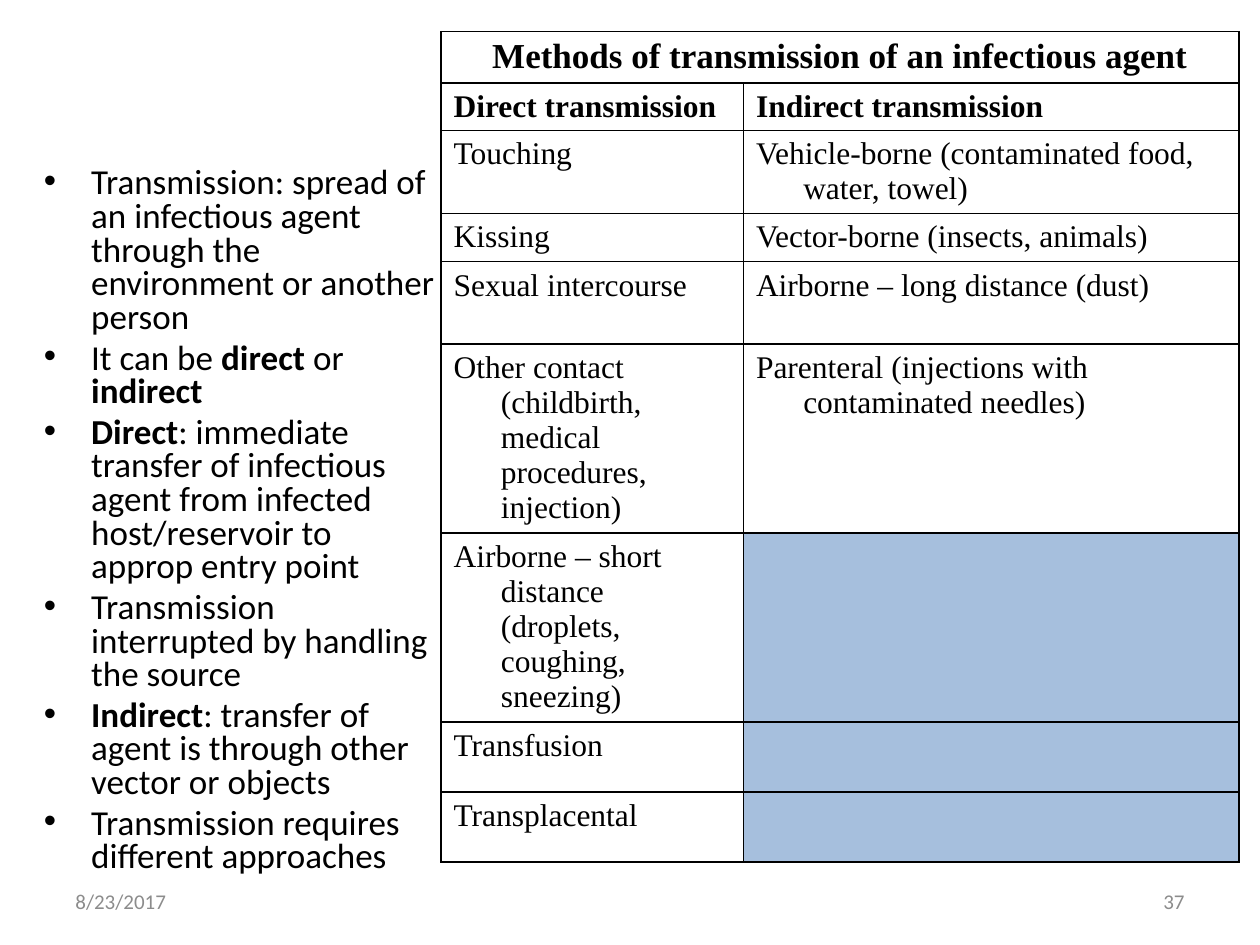
"""Build a slide on direct and indirect transmission of infectious agents."""
from lxml import etree
from pptx import Presentation
from pptx.dml.color import RGBColor
from pptx.enum import text
from pptx.oxml import ns
from pptx.util import Pt

BLACK = RGBColor(0x00, 0x00, 0x00)
GRAY = RGBColor(0x8C, 0x8C, 0x8C)
BLUE = RGBColor(0x4F, 0x81, 0xBD)
INDENT = Pt(27)


def add_run(paragraph, words, font_name, size, color=BLACK, bold=False):
    run = paragraph.add_run()
    run.text = words
    run.font.name = font_name
    run.font.size = Pt(size)
    run.font.bold = bold
    run.font.color.rgb = color


def hang_indent(paragraph):
    properties = paragraph._p.get_or_add_pPr()
    properties.set("marL", str(INDENT))
    properties.set("indent", str(-INDENT))
    return properties


presentation = Presentation()
presentation.slide_width = Pt(720)
presentation.slide_height = Pt(540)
slide = presentation.slides.add_slide(presentation.slide_layouts[6])

bullets = [
    [("Transmission: spread of an infectious agent through the environment or another person", False)],
    [("It can be ", False), ("direct", True), (" or ", False), ("indirect", True)],
    [("Direct", True), (": immediate transfer of infectious agent from infected "
                        "host/reservoir to approp entry point", False)],
    [("Transmission interrupted by handling the source", False)],
    [("Indirect", True), (": transfer of agent is through other vector or objects", False)],
    [("Transmission requires different approaches", False)],
]
body = slide.shapes.add_textbox(Pt(18), Pt(18), Pt(240), Pt(510)).text_frame
body.word_wrap = True
body.margin_top = Pt(78)
for index, runs in enumerate(bullets):
    paragraph = body.add_paragraph() if index else body.paragraphs[0]
    properties = hang_indent(paragraph)
    paragraph.line_spacing = 0.8
    if index:
        paragraph.space_before = Pt(4)
    etree.SubElement(properties, ns.qn("a:buFont"), typeface="Arial")
    etree.SubElement(properties, ns.qn("a:buChar"), char="•")
    for words, bold in runs:
        add_run(paragraph, words, "Calibri", 20, bold=bold)

rows = [
    (29.5, "Methods of transmission of an infectious agent", ""),
    (27, "Direct transmission", "Indirect transmission"),
    (47.5, "Touching", "Vehicle-borne (contaminated food, water, towel)"),
    (27.5, "Kissing", "Vector-borne (insects, animals)"),
    (47, "Sexual intercourse", "Airborne – long distance (dust)"),
    (108, "Other contact (childbirth, medical procedures, injection)",
     "Parenteral (injections with contaminated needles)"),
    (108, "Airborne – short distance (droplets, coughing, sneezing)", ""),
    (40, "Transfusion", ""),
    (40, "Transplacental", ""),
]
table_height = sum(row[0] for row in rows)
table = slide.shapes.add_table(len(rows), 2, Pt(252), Pt(18), Pt(456), Pt(table_height)).table
table.first_row = False
table.horz_banding = False
table.columns[0].width = Pt(172.8)
table.columns[1].width = Pt(283.2)
table.cell(0, 0).merge(table.cell(0, 1))
for row_index, (height, *labels) in enumerate(rows):
    table.rows[row_index].height = Pt(height)
    font_size = 18 if row_index else 20
    for column_index, label in enumerate(labels):
        cell = table.cell(row_index, column_index)
        cell.margin_bottom = Pt(0)
        cell_properties = cell._tc.get_or_add_tcPr()
        for side in ("lnL", "lnR", "lnT", "lnB"):
            border = etree.SubElement(cell_properties, ns.qn(f"a:{side}"), w=str(Pt(1)))
            border_fill = etree.SubElement(border, ns.qn("a:solidFill"))
            etree.SubElement(border_fill, ns.qn("a:srgbClr"), val=str(BLACK))
        paragraph = cell.text_frame.paragraphs[0]
        paragraph.line_spacing = Pt(font_size + 2)
        paragraph.font.size = Pt(font_size)
        if label or row_index == 0:
            cell.fill.background()
        else:
            cell.fill.solid()
            cell.fill.fore_color.rgb = BLUE
            color_element = cell_properties.find(ns.qn("a:solidFill"))[0]
            etree.SubElement(color_element, ns.qn("a:alpha"), val="50000")
        if label:
            hang_indent(paragraph)
            if row_index == 0:
                paragraph.alignment = text.PP_ALIGN.CENTER
            add_run(paragraph, label, "Times New Roman", font_size, bold=row_index < 2)

for left, words, alignment in [(36, "8/23/2017", text.PP_ALIGN.LEFT), (516, "37", text.PP_ALIGN.RIGHT)]:
    footer = slide.shapes.add_textbox(Pt(left), Pt(500.5), Pt(168), Pt(28.75)).text_frame
    footer.word_wrap = True
    footer.vertical_anchor = text.MSO_ANCHOR.MIDDLE
    footer.paragraphs[0].alignment = alignment
    add_run(footer.paragraphs[0], words, "Calibri", 12, GRAY)

presentation.save("out.pptx")
